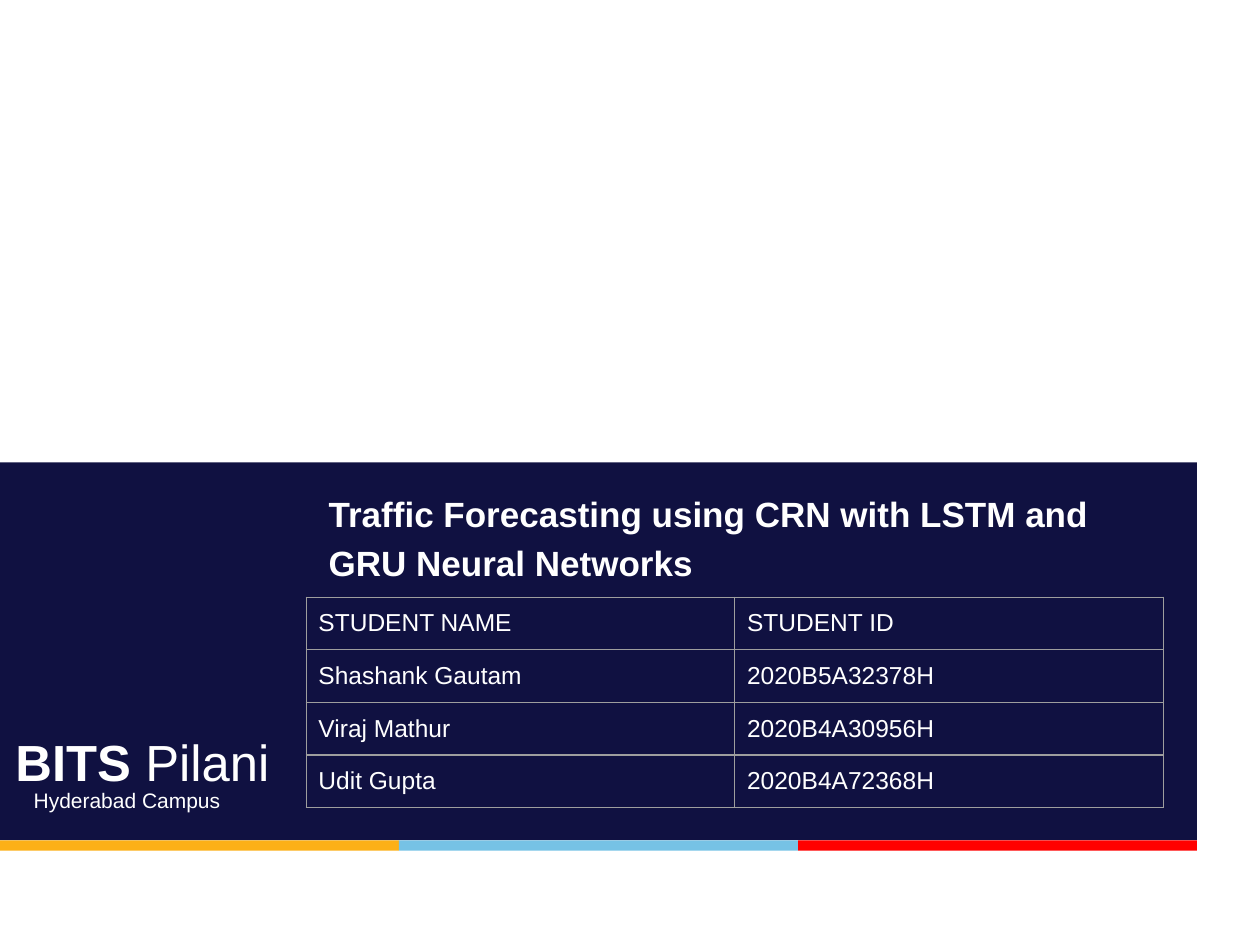
import pptx
import pptx.util
import pptx.dml.color
import pptx.enum.shapes
import pptx.enum.text
import pptx.oxml.ns
from lxml import etree

Cm, Pt = pptx.util.Cm, pptx.util.Pt
qn = pptx.oxml.ns.qn
PP_ALIGN = pptx.enum.text.PP_ALIGN


def rgb(hex_color):
    return pptx.dml.color.RGBColor.from_string(hex_color)


def add_text(p, text, size=14, bold=False, color="FFFFFF", align=PP_ALIGN.LEFT):
    p.alignment = align
    r = p.add_run()
    r.text = text
    r.font.name = "Arial"
    r.font.size = Pt(size)
    r.font.bold = bold
    r.font.color.rgb = rgb(color)


prs = pptx.Presentation()
prs.slide_width, prs.slide_height = Cm(25.4), Cm(19.05)
s = prs.slides.add_slide(prs.slide_layouts[5])

# Navy panel with three equal stripes below it
panel_w, panel_top, panel_h = 24.13, 9.32, 7.62
stripe_w = panel_w / 3
stripe_top = panel_top + panel_h
bars = [(0, panel_top, panel_w, panel_h, "101141")]
for i, color in enumerate(["FCB017", "76C2E5", "FF0000"]):
    bars.append((i * stripe_w, stripe_top, stripe_w, 0.21, color))
for x, y, w, h, color in bars:
    sp = s.shapes.add_shape(pptx.enum.shapes.MSO_SHAPE.RECTANGLE,
                            Cm(x), Cm(y), Cm(w), Cm(h))
    sp.shadow.inherit = False
    sp.fill.solid()
    sp.fill.fore_color.rgb = rgb(color)
    sp.line.fill.background()

# University name and campus
tf = s.shapes.add_textbox(Cm(-0.2), Cm(14.6), Cm(6.15), Cm(1.55)).text_frame
tf.word_wrap = True
p = tf.paragraphs[0]
add_text(p, "BITS", size=29, bold=True, align=PP_ALIGN.CENTER)
add_text(p, " Pilani", size=29, align=PP_ALIGN.CENTER)

tf = s.shapes.add_textbox(Cm(0.43), Cm(15.75), Cm(5.28), Cm(0.76)).text_frame
tf.word_wrap = True
add_text(tf.paragraphs[0], "Hyderabad Campus", size=12)

# Title, raised above the panel
title = s.shapes.title
s.shapes._spTree.append(title._element)
title.left, title.top, title.width, title.height = Cm(6.17), Cm(9.68), Cm(17.07), Cm(3)
tf = title.text_frame
tf.word_wrap = True
tf.auto_size = pptx.enum.text.MSO_AUTO_SIZE.NONE
tf.vertical_anchor = pptx.enum.text.MSO_ANCHOR.TOP
p = tf.paragraphs[0]
p.line_spacing = 1.15
p._p.get_or_add_pPr().set("marL", str(Cm(0.2)))
add_text(p, "Traffic Forecasting using CRN with LSTM and GRU Neural Networks",
         size=20, bold=True)

# Student table
rows = [
    ("STUDENT NAME", "STUDENT ID"),
    ("Shashank Gautam", "2020B5A32378H"),
    ("Viraj Mathur", "2020B4A30956H"),
    ("Udit Gupta", "2020B4A72368H"),
]
row_h = 1.06
table = s.shapes.add_table(len(rows), 2, Cm(6.17), Cm(12.04),
                           Cm(17.28), Cm(row_h * len(rows))).table
table.first_row = table.horz_banding = False
for i, row in enumerate(rows):
    table.rows[i].height = Cm(row_h)
    for j, text in enumerate(row):
        cell = table.cell(i, j)
        cell.margin_left = cell.margin_right = Cm(0.25)
        cell.margin_top = cell.margin_bottom = Cm(0.25)
        add_text(cell.text_frame.paragraphs[0], text)
        tcPr = cell._tc.get_or_add_tcPr()
        for side in ("lnL", "lnR", "lnT", "lnB"):
            ln = etree.SubElement(tcPr, qn("a:" + side), w=str(Pt(0.75)))
            fill = etree.SubElement(ln, qn("a:solidFill"))
            etree.SubElement(fill, qn("a:srgbClr"), val="9E9E9E")
        cell.fill.background()

prs.save("out.pptx")
